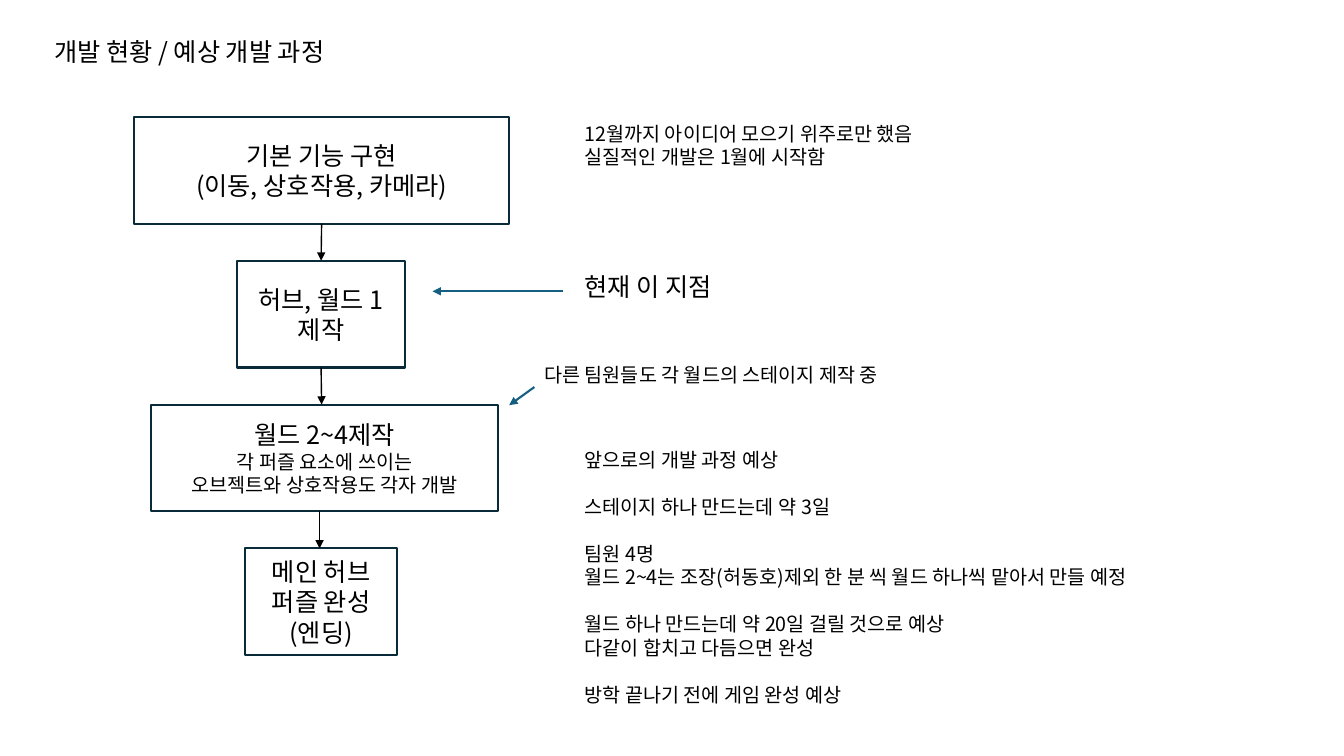
from pptx import Presentation
from pptx.util import Inches, Pt
from pptx.dml.color import RGBColor
from pptx.enum.shapes import MSO_CONNECTOR, MSO_SHAPE
from pptx.enum.text import MSO_ANCHOR, PP_ALIGN
from pptx.oxml.ns import qn
from lxml import etree

FONT = "Noto Sans CJK KR"
BLACK = RGBColor(0x00, 0x00, 0x00)
WHITE = RGBColor(0xFF, 0xFF, 0xFF)
NAVY = RGBColor(0x09, 0x2A, 0x39)
TEAL = RGBColor(0x15, 0x60, 0x82)

prs = Presentation()
prs.slide_width = Inches(13.33)
prs.slide_height = Inches(7.5)
s = prs.slides.add_slide(prs.slide_layouts[6])


def fill_text(tf, lines, align):
    tf.word_wrap = True
    for i, (text, size, gap) in enumerate(lines):
        p = tf.paragraphs[0] if i == 0 else tf.add_paragraph()
        p.alignment = align
        p.line_spacing = Pt(size * 1.2)
        p.space_before = Pt(size * 1.2 * gap)
        for j, part in enumerate(text.split("\n")):
            if j:
                p.add_line_break()
            r = p.add_run()
            r.text = part
            r.font.size = Pt(size)
            r.font.name = FONT
            r.font.color.rgb = BLACK
            etree.SubElement(r._r.get_or_add_rPr(), qn("a:ea"), typeface=FONT)


def add_arrow(x1, y1, x2, y2, color, width):
    arrow = s.shapes.add_connector(
        MSO_CONNECTOR.STRAIGHT, Inches(x1), Inches(y1), Inches(x2), Inches(y2))
    arrow.line.color.rgb = color
    arrow.line.width = Pt(width)
    etree.SubElement(arrow.line._get_or_add_ln(), qn("a:tailEnd"), type="triangle")
    etree.SubElement(arrow._element.spPr, qn("a:effectLst"))
    return arrow


STEP_TOP, STEP_HEIGHT, STEP_PITCH = 1.16, 1.06, 1.427
steps = [
    (1.33, 3.72, [("기본 기능 구현\n(이동, 상호작용, 카메라)", 18, 0)]),
    (2.35, 1.67, [("허브, 월드 1 제작", 18, 0)]),
    (1.5, 3.44, [("월드 2~4제작", 18, 0),
                 ("각 퍼즐 요소에 쓰이는", 14, 0),
                 ("오브젝트와 상호작용도 각자 개발", 14, 0)]),
    (2.43, 1.51, [("메인 허브 퍼즐 완성(엔딩)", 18, 0)]),
]
boxes = []
for i, (left, width, lines) in enumerate(steps):
    sp = s.shapes.add_shape(
        MSO_SHAPE.RECTANGLE, Inches(left), Inches(STEP_TOP + i * STEP_PITCH),
        Inches(width), Inches(STEP_HEIGHT))
    sp.shadow.inherit = False
    sp.fill.solid()
    sp.fill.fore_color.rgb = WHITE
    sp.line.color.rgb = NAVY
    sp.line.width = Pt(1.5)
    sp.text_frame.vertical_anchor = MSO_ANCHOR.MIDDLE
    fill_text(sp.text_frame, lines, PP_ALIGN.CENTER)
    boxes.append(sp)

for i, x in enumerate([3.19, 3.19, 3.17]):
    bottom = STEP_TOP + i * STEP_PITCH + STEP_HEIGHT
    arrow = add_arrow(x, bottom, x, STEP_TOP + (i + 1) * STEP_PITCH, BLACK, 1)
    ends = [(arrow.begin_connect, boxes[i], 2), (arrow.end_connect, boxes[i + 1], 0)]
    for connect, box, site in ends:
        if abs(box.left + box.width / 2 - Inches(x)) < Inches(0.01):
            connect(box, site)

add_arrow(5.58, 2.89, 4.29, 2.89, TEAL, 1.5)
add_arrow(5.3, 3.84, 5.05, 4.02, TEAL, 1.5)

notes = [
    (0.44, 0.31, 9.24, 0.4, [("개발 현황 / 예상 개발 과정", 18, 0)]),
    (5.7, 1.16, 7.13, 0.57, [("12월까지 아이디어 모으기 위주로만 했음", 14, 0),
                             ("실질적인 개발은 1월에 시작함", 14, 0)]),
    (5.7, 2.64, 1.86, 0.4, [("현재 이 지점", 18, 0)]),
    (5.3, 3.55, 4.52, 0.34, [("다른 팀원들도 각 월드의 스테이지 제작 중", 14, 0)]),
    (5.7, 4.39, 7.13, 2.69, [
        ("앞으로의 개발 과정 예상", 14, 0),
        ("스테이지 하나 만드는데 약 3일", 14, 1),
        ("팀원 4명", 14, 1),
        ("월드 2~4는 조장(허동호)제외 한 분 씩 월드 하나씩 맡아서 만들 예정", 14, 0),
        ("월드 하나 만드는데 약 20일 걸릴 것으로 예상", 14, 1),
        ("다같이 합치고 다듬으면 완성", 14, 0),
        ("방학 끝나기 전에 게임 완성 예상", 14, 1)]),
]
for left, top, width, height, lines in notes:
    tb = s.shapes.add_textbox(Inches(left), Inches(top), Inches(width), Inches(height))
    fill_text(tb.text_frame, lines, PP_ALIGN.LEFT)

prs.save("out.pptx")
